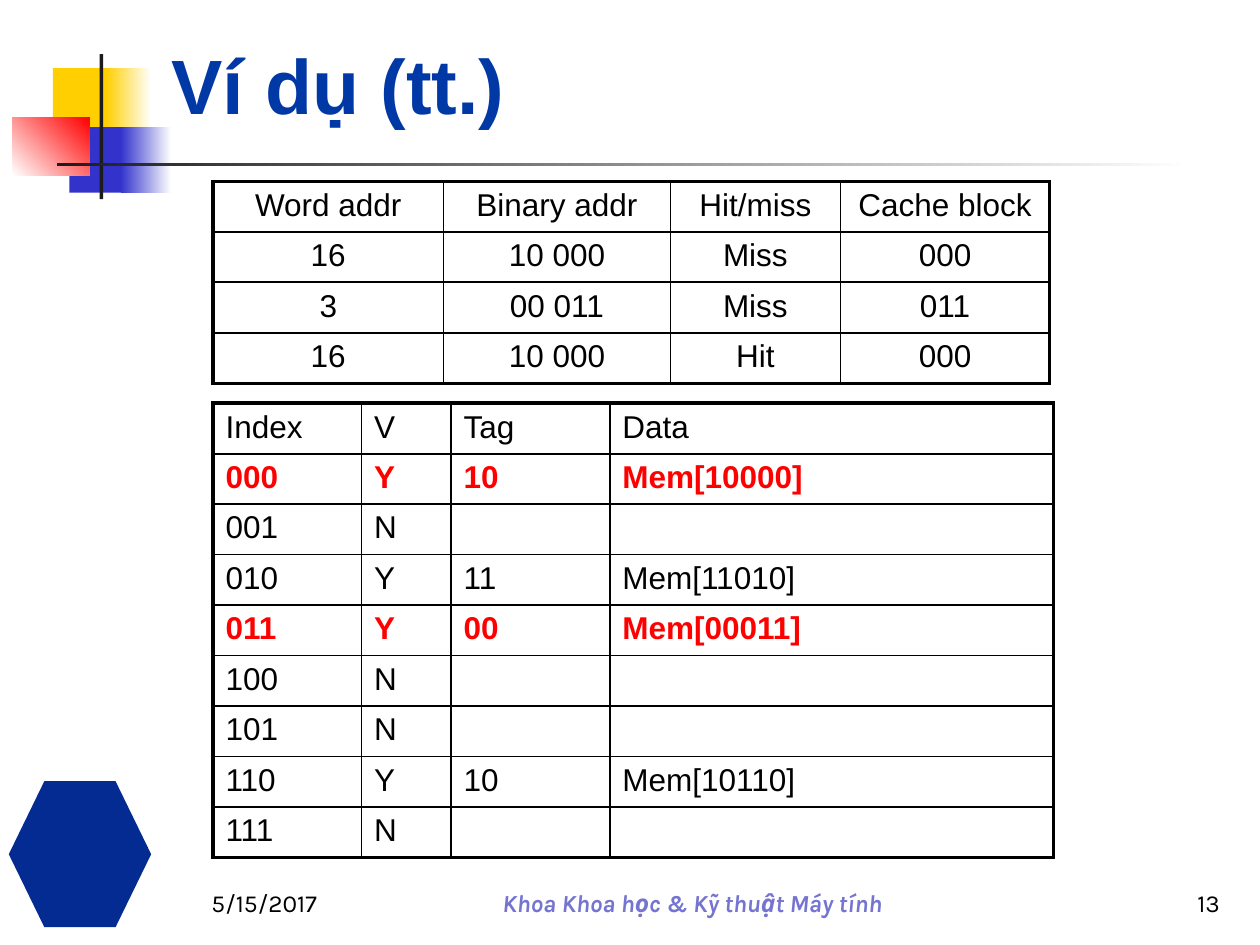
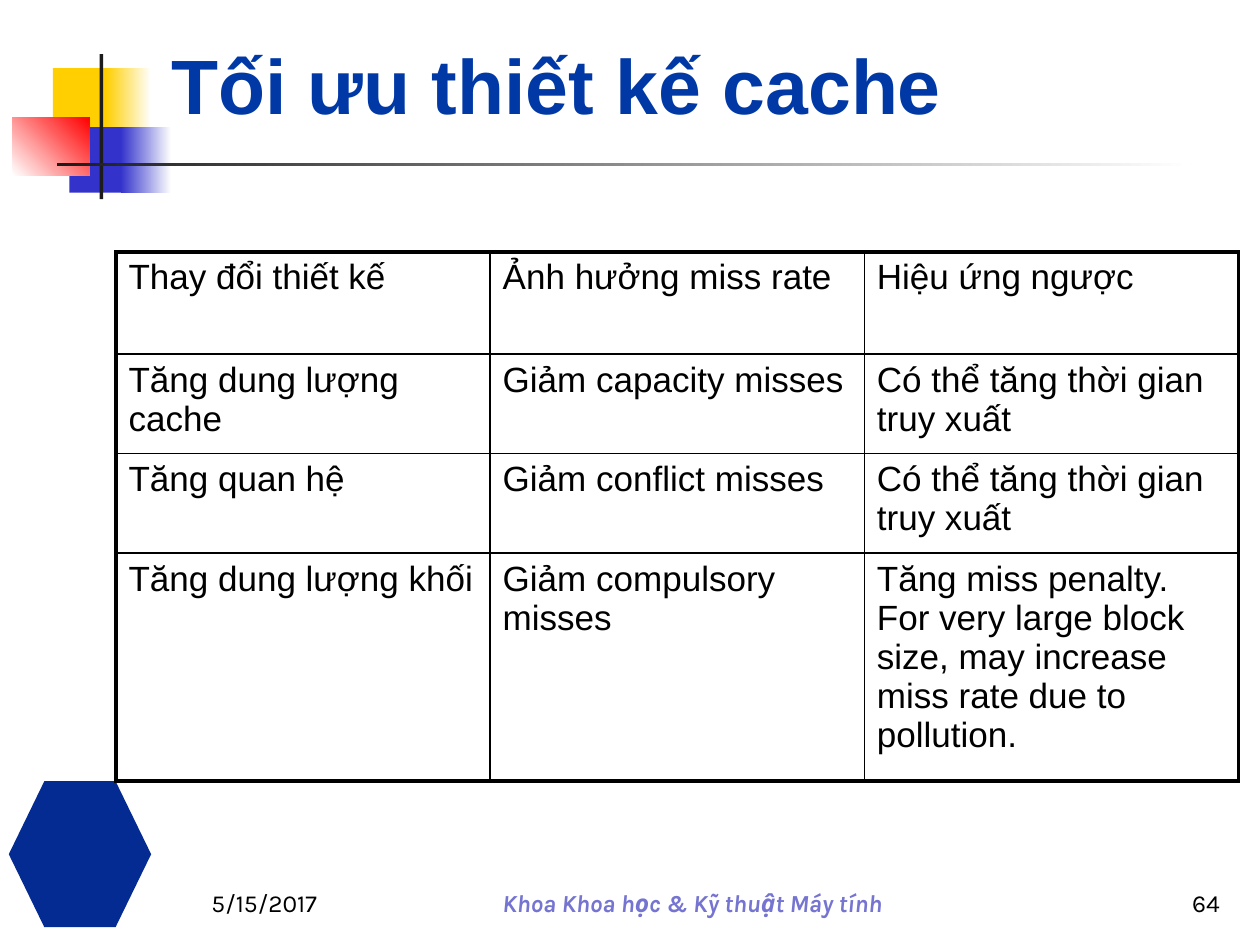
from pptx import Presentation
from pptx.util import Inches, Pt
from pptx.dml.color import RGBColor
from pptx.enum.shapes import MSO_SHAPE as Geo
from pptx.enum.text import PP_ALIGN as Align, MSO_ANCHOR as Anchor, MSO_AUTO_SIZE as Fit
from pptx.oxml import parse_xml
from pptx.oxml.ns import nsdecls

WIDE, HIGH = 10, 7.5
BLACK, WHITE, RED, DARK = "000000", "FFFFFF", "FF0000", "1C1C1C"
GOLD, BLUE, NAVY = "FFCF01", "3333CC", "0039A6"
LILAC, BADGE = "7575D1", "032B91"
THICK, MID, THIN = 2.25, 1.5, 1

DATE = "5/15/2017"
UNIT = "Khoa Khoa học & Kỹ thuật Máy tính"

BANDS = [
    ((0.42, 0.54, 0.48, 0.52), [GOLD], 0),
    ((0.84, 0.54, 0.36, 0.52), [GOLD, WHITE], 0),
    ((0.55, 1.01, 0.46, 0.52), [BLUE], 0),
    ((0.96, 1.01, 0.4, 0.52), [BLUE, WHITE], 0),
    ((0.1, 0.93, 0.61, 0.46), [WHITE, RED], 45),
    ((0.79, 0.43, 0.03, 1.15), [DARK], 0),
    ((0.45, 1.29, 9, 0.03), [DARK, WHITE], 0),
]

HITS = dict(
    rows=[
        ("Word addr", "Binary addr", "Hit/miss", "Cache block"),
        ("16", "10 000", "Miss", "000"),
        ("3", "00 011", "Miss", "011"),
        ("16", "10 000", "Hit", "000"),
    ],
    at=(1.69, 1.44), cols=[1.83, 1.8, 1.35, 1.66],
    tall=[0.38, 0.4, 0.4, 0.38], rule=MID, align=Align.CENTER,
)
CACHE = dict(
    rows=[
        ("Index", "V", "Tag", "Data"),
        ("000", "Y", "10", "Mem[10000]"),
        ("001", "N", "", ""),
        ("010", "Y", "11", "Mem[11010]"),
        ("011", "Y", "00", "Mem[00011]"),
        ("100", "N", "", ""),
        ("101", "N", "", ""),
        ("110", "Y", "10", "Mem[10110]"),
        ("111", "N", "", ""),
    ],
    at=(1.69, 3.2), cols=[1.18, 0.71, 1.26, 3.52],
    tall=[0.38] * 9, hot=(1, 4),
)
DESIGN = dict(
    rows=[
        ("Thay đổi thiết kế", "Ảnh hưởng miss rate", "Hiệu ứng ngược"),
        ("Tăng dung lượng cache", "Giảm capacity misses",
         "Có thể tăng thời gian truy xuất"),
        ("Tăng quan hệ", "Giảm conflict misses",
         "Có thể tăng thời gian truy xuất"),
        ("Tăng dung lượng khối", "Giảm compulsory misses",
         "Tăng miss penalty. For very large block size, may increase "
         "miss rate due to pollution."),
    ],
    at=(0.92, 2), cols=[2.97] * 3, tall=[0.81, 0.79, 0.79, 1.81], size=20,
)
SLIDES = [
    ("Ví dụ (tt.)", "13", [CACHE, HITS]),
    ("Tối ưu thiết kế cache", "64", [DESIGN]),
]


def tint(code):
    return RGBColor.from_string(code)


def place(part, box):
    part.left, part.top, part.width, part.height = map(Inches, box)


def write(frame, text, size=18, color=BLACK, font="Arial", bold=False,
          slant=False, align=Align.LEFT):
    frame.word_wrap = True
    para = frame.paragraphs[0]
    para.text = text
    para.alignment = align
    face = para.font
    face.size, face.name, face.bold, face.italic = Pt(size), font, bold, slant
    face.color.rgb = tint(color)


def paint(slide, box, hues, turn=0, geo=Geo.RECTANGLE):
    part = slide.shapes.add_shape(geo, *map(Inches, box))
    part.shadow.inherit = False
    part.line.fill.background()
    if len(hues) == 1:
        part.fill.solid()
        part.fill.fore_color.rgb = tint(hues[0])
        return
    part.fill.gradient()
    part.fill.gradient_angle = turn
    for stop, hue, spot in zip(part.fill.gradient_stops, hues, (0, 1)):
        stop.color.rgb = tint(hue)
        stop.position = spot


def label(slide, box, text, **form):
    frame = slide.shapes.add_textbox(*map(Inches, box)).text_frame
    frame.vertical_anchor = Anchor.BOTTOM
    write(frame, text, size=14, font="Karla", **form)


def edge(cell, sides):
    props = cell._tc.get_or_add_tcPr()
    for spot, (side, width) in enumerate(zip("LRTB", sides)):
        props.insert(spot, parse_xml(
            f'<a:ln{side} {nsdecls("a")} w="{Pt(width)}"><a:solidFill>'
            f'<a:srgbClr val="{BLACK}"/></a:solidFill></a:ln{side}>'))


def rule_at(spot, last, rule):
    if spot in (0, last):
        return THICK
    return MID if spot == 1 else rule


def grid(slide, rows, at, cols, tall, rule=THIN, size=18, hot=(),
         align=Align.LEFT):
    box = (*at, sum(cols), sum(tall))
    table = slide.shapes.add_table(
        len(rows), len(cols), *map(Inches, box)).table
    table.first_row = table.horz_banding = False
    for col, width in zip(table.columns, cols):
        col.width = Inches(width)
    for row, height in zip(table.rows, tall):
        row.height = Inches(height)
    for r, line in enumerate(rows):
        top, low = (rule_at(n, len(rows), rule) for n in (r, r + 1))
        for c, text in enumerate(line):
            cell = table.cell(r, c)
            cell.fill.background()
            left = THIN if c else THICK
            right = THICK if c == len(cols) - 1 else THIN
            edge(cell, (left, right, top, low))
            write(cell.text_frame, text, size=size, align=align,
                  bold=r in hot, color=RED if r in hot else BLACK)


def frame_up(slide, title, page):
    for band in BANDS:
        paint(slide, *band)
    paint(slide, (0.07, 6.2, 1.13, 1.16), [BADGE], geo=Geo.HEXAGON)
    head = slide.shapes.title
    place(head, (1.26, 0.23, 8.52, 0.85))
    head.text_frame.auto_size = Fit.NONE
    head.text_frame.vertical_anchor = Anchor.BOTTOM
    write(head.text_frame, title, size=44, color=NAVY, bold=True)
    label(slide, (1.58, 6.83, 1.42, 0.5), DATE)
    label(slide, (3.08, 7, 4.83, 0.33), UNIT, color=LILAC, bold=True,
          slant=True, align=Align.CENTER)
    label(slide, (8.33, 6.83, 1.45, 0.5), page, align=Align.RIGHT)


def main():
    deck = Presentation()
    deck.slide_width, deck.slide_height = Inches(WIDE), Inches(HIGH)
    for title, page, tables in SLIDES:
        slide = deck.slides.add_slide(deck.slide_layouts[5])
        frame_up(slide, title, page)
        for table in tables:
            grid(slide, **table)
    deck.save("out.pptx")


if __name__ == "__main__":
    main()
